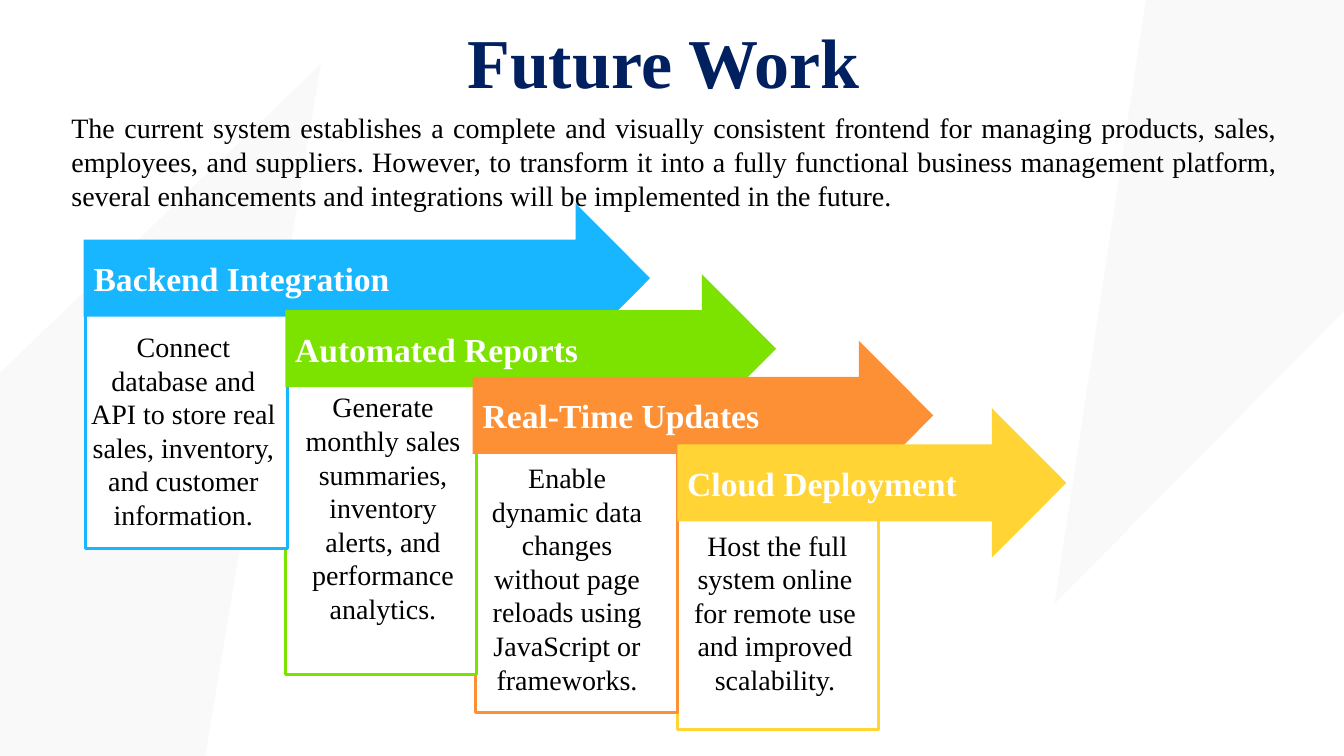
import pptx
import pptx.util
import pptx.dml.color
import pptx.enum.shapes
import pptx.enum.text
import pptx.oxml
import pptx.oxml.ns
from dataclasses import dataclass

Pt = pptx.util.Pt
Shapes = pptx.enum.shapes.MSO_SHAPE
Align = pptx.enum.text.PP_ALIGN
Anchor = pptx.enum.text.MSO_ANCHOR
qn = pptx.oxml.ns.qn

# Content; every place is left, top, width, height in points
TITLE = "Future Work "
INTRO = (
    "The current system establishes a complete and visually consistent frontend for managing "
    "products, sales, employees, and suppliers. However, to transform it into a fully functional "
    "business management platform, several enhancements and integrations will be implemented "
    "in the future."
)
STEPS = [
    dict(name="Backend Integration", color="17B6FF",
         text="Connect database and API to store real sales, inventory, and customer information.",
         arrow=(59.76, 145.4, 404.6), card=(61.2, 220.3, 144, 171.4),
         label=(55.4, 231.8, 151.2, 152.6)),
    dict(name="Automated Reports", color="7CE200",
         text="Generate monthly sales summaries, inventory alerts, and performance analytics.",
         arrow=(203.8, 195.8, 350.6), card=(203.8, 275, 136.8, 206.6),
         label=(209.5, 275, 128.2, 177.1)),
    dict(name="Real-Time Updates", color="FD9034",
         text="Enable dynamic data changes without page reloads using JavaScript or frameworks.",
         arrow=(337.7, 243.4, 329), card=(339.8, 319, 144, 190.1),
         label=(337, 325.4, 136.1, 177.1)),
    dict(name="Cloud Deployment", color="FFD434",
         text="Host the full system online for remote use and improved scalability.",
         arrow=(483.8, 291.6, 277.9), card=(483.8, 362.9, 144, 158.4),
         label=(483.8, 373.7, 139.7, 128.2), lead=" "),
]
BACKDROP = [  # place, rotation
    ((564.5, -20.9, 463, 337.7), 314.7),
    ((-90, 174.2, 529.9, 393.8), 136.1),
]
TITLE_PLACE = (24.5, 18.7, 911.5, 56.9)
INTRO_PLACE = (43.9, 75.6, 875.5, 79.9)
ARROW_HEIGHT = 106.6
ARROW_SHAPE = (0.516, 0.498)


@dataclass(frozen=True)
class Theme:
    font: str = "Times New Roman"
    lead_font: str = "Arial"
    navy: str = "002060"
    black: str = "000000"
    white: str = "FFFFFF"
    backdrop: str = "BFBFBF"
    backdrop_alpha: int = 8
    title_size: int = 50
    arrow_size: int = 24
    body_size: int = 20
    lead_size: int = 12
    border: float = 2.25


THEME = Theme()


def rgb(value):
    return pptx.dml.color.RGBColor.from_string(value)


def add_run(paragraph, text, size, color, bold=False, font=THEME.font):
    run = paragraph.add_run()
    run.text = text
    run.font.name = font
    run.font.size = Pt(size)
    run.font.bold = bold
    run.font.color.rgb = rgb(color)


def add_shape(slide, kind, place, fill, line=None):
    shape = slide.shapes.add_shape(kind, *map(Pt, place))
    shape.shadow.inherit = False
    shape.fill.solid()
    shape.fill.fore_color.rgb = rgb(fill)
    if line:
        shape.line.color.rgb = rgb(line)
        shape.line.width = Pt(THEME.border)
    else:
        shape.line.fill.background()
    return shape


def add_text(slide, place, alignment):
    frame = slide.shapes.add_textbox(*map(Pt, place)).text_frame
    frame.word_wrap = True
    paragraph = frame.paragraphs[0]
    paragraph.alignment = alignment
    return frame, paragraph


def add_backdrop(slide, place, rotation):
    triangle = add_shape(slide, Shapes.RIGHT_TRIANGLE, place, THEME.backdrop)
    triangle.rotation = rotation
    properties = triangle.element.spPr
    properties.find(qn("a:xfrm")).set("flipH", "1")
    color = properties.find(qn("a:solidFill")).find(qn("a:srgbClr"))
    alpha = pptx.oxml.parse_xml(
        f'<a:alpha {pptx.oxml.ns.nsdecls("a")} val="{THEME.backdrop_alpha * 1000}"/>')
    color.append(alpha)


def add_arrow(slide, step):
    place = (*step["arrow"], ARROW_HEIGHT)
    arrow = add_shape(slide, Shapes.RIGHT_ARROW, place, step["color"])
    for index, value in enumerate(ARROW_SHAPE):
        arrow.adjustments[index] = value
    arrow.text_frame.vertical_anchor = Anchor.MIDDLE
    paragraph = arrow.text_frame.paragraphs[0]
    paragraph.alignment = Align.LEFT
    add_run(paragraph, step["name"], THEME.arrow_size, THEME.white, bold=True)


def add_label(slide, step):
    frame, paragraph = add_text(slide, step["label"], Align.CENTER)
    frame.auto_size = pptx.enum.text.MSO_AUTO_SIZE.SHAPE_TO_FIT_TEXT
    if "lead" in step:
        add_run(paragraph, step["lead"], THEME.lead_size, THEME.black, font=THEME.lead_font)
    add_run(paragraph, step["text"], THEME.body_size, THEME.black)


def main():
    presentation = pptx.Presentation()
    presentation.slide_width, presentation.slide_height = Pt(960), Pt(540)
    slide = presentation.slides.add_slide(presentation.slide_layouts[6])

    # Backdrop and title
    for place, rotation in BACKDROP:
        add_backdrop(slide, place, rotation)
    frame, paragraph = add_text(slide, TITLE_PLACE, Align.CENTER)
    frame.vertical_anchor = Anchor.MIDDLE
    paragraph.line_spacing = 0.9
    paragraph.space_before = Pt(10)
    add_run(paragraph, TITLE, THEME.title_size, THEME.navy, bold=True)

    # Cards overlap leftwards, arrows rightwards
    for step in reversed(STEPS):
        add_shape(slide, Shapes.RECTANGLE, step["card"], THEME.white, step["color"])
    for step in STEPS:
        add_arrow(slide, step)
    for step in STEPS:
        add_label(slide, step)

    # Introduction
    frame, paragraph = add_text(slide, INTRO_PLACE, Align.JUSTIFY)
    frame.auto_size = pptx.enum.text.MSO_AUTO_SIZE.SHAPE_TO_FIT_TEXT
    add_run(paragraph, INTRO, THEME.body_size, THEME.black)

    presentation.save("out.pptx")


if __name__ == "__main__":
    main()
